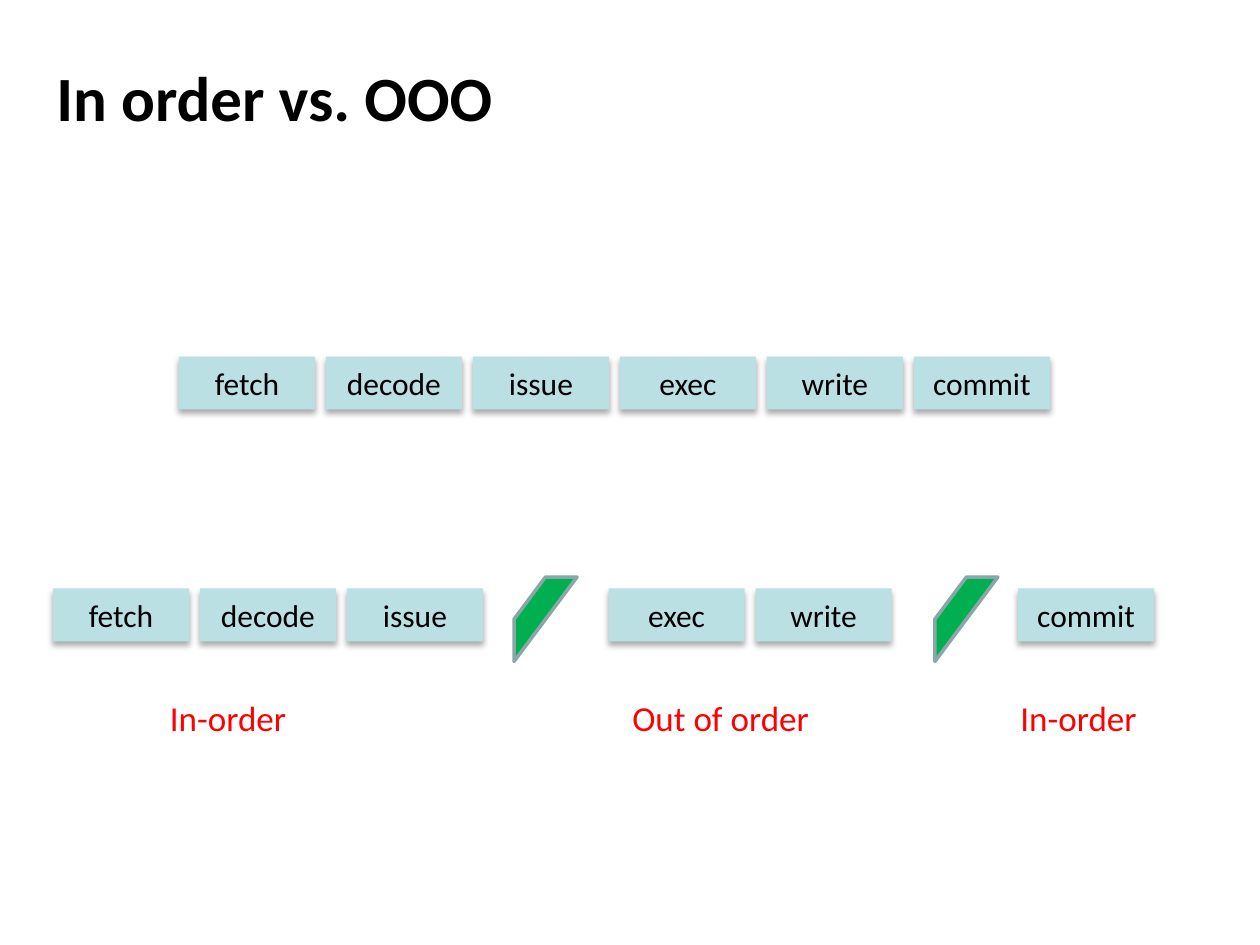
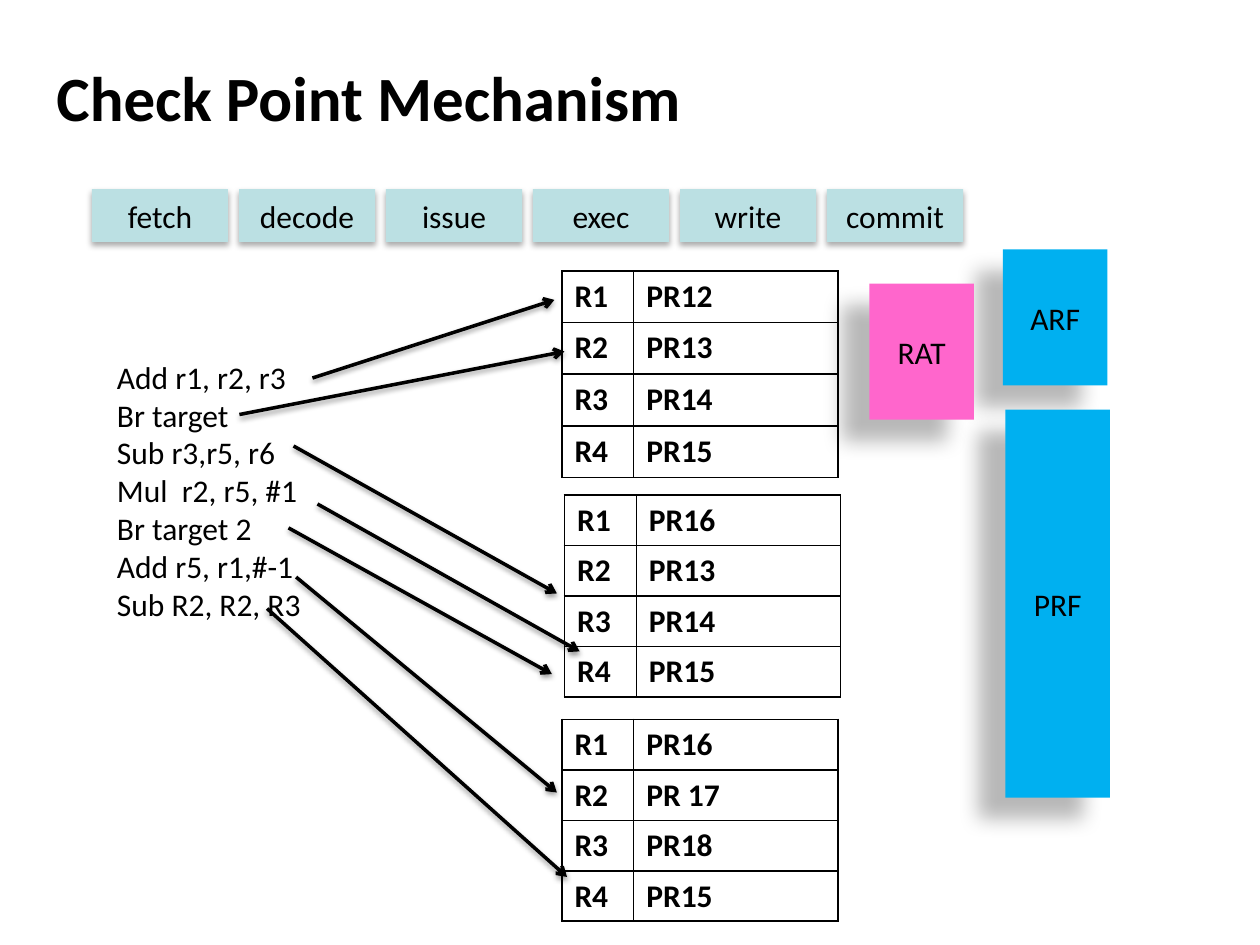
from typing import NamedTuple

from lxml.etree import SubElement
from pptx import Presentation
from pptx.dml.color import RGBColor
from pptx.enum.shapes import MSO_CONNECTOR, MSO_SHAPE
from pptx.enum.text import MSO_ANCHOR, MSO_AUTO_SIZE, PP_ALIGN
from pptx.oxml import parse_xml
from pptx.oxml.ns import nsdecls, qn
from pptx.slide import Slide
from pptx.util import Inches, Pt

BLACK = RGBColor(0x00, 0x00, 0x00)
RED = RGBColor(0xFF, 0x00, 0x00)
PALE_TEAL = RGBColor(0xBB, 0xE0, 0xE3)
GREY_TEAL = RGBColor(0x8A, 0xA6, 0xA8)
GREEN = RGBColor(0x00, 0xB0, 0x50)
BLUE = RGBColor(0x00, 0xB0, 0xF0)
PINK = RGBColor(0xFF, 0x66, 0xCC)

FONT = "Calibri"
STAGES = ["fetch", "decode", "issue", "exec", "write", "commit"]
STAGE_WIDTH, STAGE_HEIGHT = 1.08, 0.42
STAGE_PITCH = 7 / 6
TABLE_COLUMNS = (0.57, 1.62)
REGISTERS = ["R1", "R2", "R3", "R4"]


class Shadow(NamedTuple):
    opacity: int
    blur: float
    distance: float
    angle: int


class Block(NamedTuple):
    label: str
    left: float
    top: float
    width: float
    height: float
    color: RGBColor
    shadow: Shadow


class Label(NamedTuple):
    lines: list[str]
    left: float
    top: float
    width: float
    height: float
    size: int
    color: RGBColor


class Arrow(NamedTuple):
    start_x: float
    start_y: float
    end_x: float
    end_y: float


class Checkpoint(NamedTuple):
    left: float
    top: float
    row_height: float
    physical: list[str]


STAGE_SHADOW = Shadow(32, 3.5, 2.2, 90)
ARROW_SHADOW = Shadow(38, 3.1, 1.6, 90)
FILE_SHADOW = Shadow(28, 11.8, 19.7, 141)

ORDER_LABELS = [
    Label(["In-order"], 1.25, 5.48, 1.18, 0.44, 20, RED),
    Label(["Out of order"], 4.92, 5.48, 1.77, 0.44, 20, RED),
    Label(["In-order"], 8, 5.48, 1.18, 0.44, 20, RED),
]
QUEUE_LEFTS = [4.08, 7.42]

PROGRAM = Label(
    ["Add r1, r2, r3", "Br target", "Sub r3,r5, r6", "Mul  r2, r5, #1",
     "Br target 2", "Add r5, r1,#-1", "Sub R2, R2, R3"],
    0.83, 2.79, 1.97, 2.52, 18, BLACK,
)
CHECKPOINTS = [
    Checkpoint(4.46, 2.15, 0.41, ["PR12", "PR13", "PR14", "PR15"]),
    Checkpoint(4.48, 3.93, 0.4, ["PR16", "PR13", "PR14", "PR15"]),
    Checkpoint(4.46, 5.71, 0.4, ["PR16", "PR 17", "PR18", "PR15"]),
]
ARROWS = [
    Arrow(2.48, 3, 4.4, 2.38),
    Arrow(1.9, 3.29, 4.48, 2.79),
    Arrow(2.33, 3.54, 4.42, 4.71),
    Arrow(2.52, 4, 4.6, 5.17),
    Arrow(2.29, 4.19, 4.38, 5.35),
    Arrow(2.35, 4.58, 4.42, 6.29),
    Arrow(2.12, 4.83, 4.5, 6.96),
]
REGISTER_FILES = [
    Block("ARF", 7.96, 1.98, 0.83, 1.08, BLUE, FILE_SHADOW),
    Block("PRF", 7.98, 3.25, 0.83, 3.08, BLUE, FILE_SHADOW),
    Block("RAT", 6.9, 2.25, 0.83, 1.08, PINK, FILE_SHADOW),
]


def add_span(para, text: str, size: int, color: RGBColor = BLACK, bold: bool = False) -> None:
    span = para.add_run()
    span.text = text
    span.font.name = FONT
    span.font.size = Pt(size)
    span.font.bold = bold
    span.font.color.rgb = color


def add_shadow(properties, shadow: Shadow) -> None:
    """Append an outer shadow; fill and line must already be set."""
    properties.append(parse_xml(
        f'<a:effectLst {nsdecls("a")}>'
        f'<a:outerShdw blurRad="{Pt(shadow.blur)}" dist="{Pt(shadow.distance)}" '
        f'dir="{shadow.angle * 60000}" algn="ctr" rotWithShape="0">'
        f'<a:srgbClr val="{BLACK}"><a:alpha val="{shadow.opacity * 1000}"/></a:srgbClr>'
        '</a:outerShdw></a:effectLst>'
    ))


def add_titled_page(deck, title: str) -> Slide:
    page = deck.slides.add_slide(deck.slide_layouts[6])
    box = page.shapes.add_textbox(Inches(0.35), Inches(0.35), Inches(9), Inches(0.83))
    frame = box.text_frame
    frame.word_wrap = True
    frame.vertical_anchor = MSO_ANCHOR.MIDDLE
    add_span(frame.paragraphs[0], title, 36, bold=True)
    return page


def add_block(page: Slide, block: Block) -> None:
    box = page.shapes.add_shape(
        MSO_SHAPE.RECTANGLE, Inches(block.left), Inches(block.top),
        Inches(block.width), Inches(block.height),
    )
    box.fill.solid()
    box.fill.fore_color.rgb = block.color
    box.line.fill.background()
    add_shadow(box._element.spPr, block.shadow)
    frame = box.text_frame
    frame.word_wrap = False
    frame.vertical_anchor = MSO_ANCHOR.MIDDLE
    para = frame.paragraphs[0]
    para.alignment = PP_ALIGN.CENTER
    add_span(para, block.label, 18)


def add_stages(page: Slide, names: list[str], left: float, top: float) -> None:
    for index, name in enumerate(names):
        add_block(page, Block(name, left + index * STAGE_PITCH, top,
                              STAGE_WIDTH, STAGE_HEIGHT, PALE_TEAL, STAGE_SHADOW))


def add_label(page: Slide, label: Label) -> None:
    box = page.shapes.add_textbox(
        Inches(label.left), Inches(label.top), Inches(label.width), Inches(label.height)
    )
    frame = box.text_frame
    frame.word_wrap = False
    frame.auto_size = MSO_AUTO_SIZE.SHAPE_TO_FIT_TEXT
    for index, line in enumerate(label.lines):
        para = frame.add_paragraph() if index else frame.paragraphs[0]
        add_span(para, line, label.size, label.color)


def add_queue(page: Slide, left: float) -> None:
    queue = page.shapes.add_shape(
        MSO_SHAPE.DIAGONAL_STRIPE, Inches(left), Inches(4.58), Inches(0.5), Inches(0.67)
    )
    queue.shadow.inherit = False
    queue.fill.solid()
    queue.fill.fore_color.rgb = GREEN
    queue.line.color.rgb = GREY_TEAL
    queue.line.width = Pt(2)


def add_arrow(page: Slide, arrow: Arrow) -> None:
    connector = page.shapes.add_connector(
        MSO_CONNECTOR.STRAIGHT, *(Inches(length) for length in arrow)
    )
    connector.line.color.rgb = BLACK
    connector.line.width = Pt(2)
    SubElement(connector.line._get_or_add_ln(), qn("a:tailEnd"), type="arrow")
    add_shadow(connector._element.spPr, ARROW_SHADOW)


def add_borders(cell) -> None:
    properties = cell._tc.get_or_add_tcPr()
    for position, side in enumerate(("lnL", "lnR", "lnT", "lnB")):
        properties.insert(position, parse_xml(
            f'<a:{side} {nsdecls("a")} w="{Pt(1)}"><a:solidFill>'
            f'<a:srgbClr val="{BLACK}"/></a:solidFill></a:{side}>'
        ))


def add_checkpoint(page: Slide, checkpoint: Checkpoint) -> None:
    """Draw one table that maps each register to a physical register."""
    table = page.shapes.add_table(
        len(REGISTERS), len(TABLE_COLUMNS), Inches(checkpoint.left), Inches(checkpoint.top),
        Inches(sum(TABLE_COLUMNS)), Inches(checkpoint.row_height * len(REGISTERS)),
    ).table
    table.first_row = False
    table.horz_banding = False
    for column, width in zip(table.columns, TABLE_COLUMNS):
        column.width = Inches(width)
    for row, texts in zip(table.rows, zip(REGISTERS, checkpoint.physical)):
        row.height = Inches(checkpoint.row_height)
        for cell, text in zip(row.cells, texts):
            cell.fill.background()
            add_borders(cell)
            add_span(cell.text_frame.paragraphs[0], text, 18, bold=True)


def build_order_page(deck) -> None:
    page = add_titled_page(deck, "In order vs. OOO")
    add_stages(page, STAGES, 1.42, 2.83)
    add_stages(page, STAGES[:3], 0.42, 4.67)
    add_stages(page, STAGES[3:5], 4.83, 4.67)
    add_stages(page, STAGES[5:], 8.08, 4.67)
    for label in ORDER_LABELS:
        add_label(page, label)
    for left in QUEUE_LEFTS:
        add_queue(page, left)


def build_checkpoint_page(deck) -> None:
    page = add_titled_page(deck, "Check Point Mechanism")
    add_stages(page, STAGES, 0.73, 1.5)
    add_label(page, PROGRAM)
    for checkpoint in CHECKPOINTS:
        add_checkpoint(page, checkpoint)
    for arrow in ARROWS:
        add_arrow(page, arrow)
    for block in REGISTER_FILES:
        add_block(page, block)


def main() -> None:
    deck = Presentation()
    deck.slide_width, deck.slide_height = Inches(10), Inches(7.5)
    build_order_page(deck)
    build_checkpoint_page(deck)
    deck.save("out.pptx")


if __name__ == "__main__":
    main()
